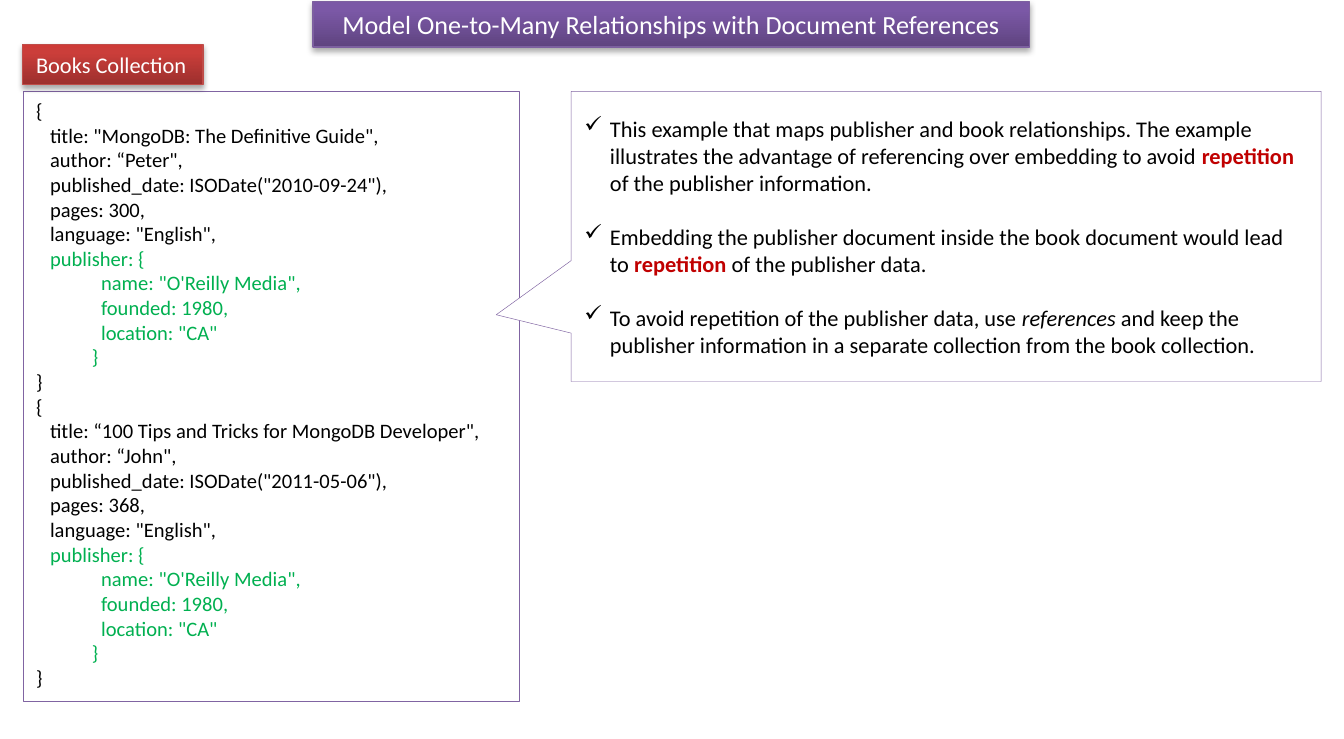
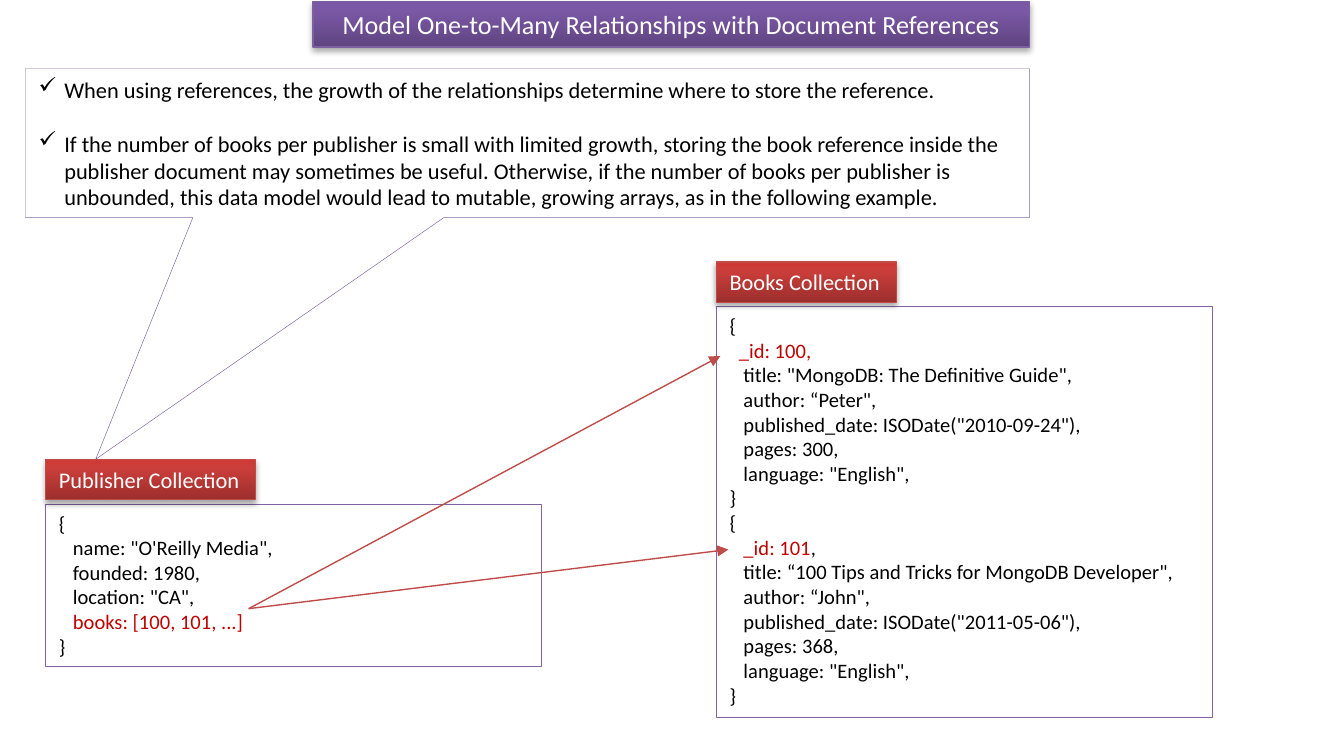
from dataclasses import dataclass

from lxml import etree
from pptx import Presentation
from pptx import util as u
from pptx.dml.color import RGBColor
from pptx.enum import shapes, text
from pptx.oxml.ns import qn

Inches = u.Inches


@dataclass(frozen=True)
class Theme:
    font: str = "Calibri"
    title_size: float = 14
    body_size: float = 12
    code_size: float = 11
    paragraph_gap: float = 14.6
    white: str = "FFFFFF"
    black: str = "000000"
    red: str = "C00000"
    green: str = "00B050"
    outline: str = "8064A2"
    band_line: str = "7D60A0"
    band_stops: tuple = ((0, "5F4480"), (80, "7B58A6"), (100, "7C57A8"))
    label_line: str = "BF4C48"
    label_stops: tuple = ((0, "9C2F2D"), (80, "CB3E3A"), (100, "CE3B37"))


THEME = Theme()
CODE_WIDTH = 3.69
LABEL_HEIGHT = 0.3
TITLE = "Model One-to-Many Relationships with Document References"


def add_xml(parent, tag, **attributes):
    values = {name: str(value) for name, value in attributes.items()}
    return etree.SubElement(parent, qn(tag), values)


def colour(value):
    return RGBColor.from_string(value)


class Deck:
    """Holds the theme and the slide being drawn.

    A paragraph is a string, or a list of strings and (string, format) pairs,
    where the format may give "colour", "bold" and "italic".
    """

    def __init__(self, theme):
        self.theme = theme
        self.presentation = Presentation()
        self.presentation.slide_width = Inches(10)
        self.presentation.slide_height = Inches(5.5)
        self.slide = None

    def add_slide(self, title):
        layout = self.presentation.slide_layouts.get_by_name("Title Only")
        self.slide = self.presentation.slides.add_slide(layout)
        band = self.slide.shapes.title
        band.left, band.top = Inches(2.33), Inches(0.01)
        band.width, band.height = Inches(5.33), Inches(0.34)
        self.raise_band(band, self.theme.band_stops, self.theme.band_line)
        self.set_text(band, [title], self.theme.title_size, self.theme.white,
                      text.MSO_ANCHOR.MIDDLE, text.PP_ALIGN.CENTER)

    def add_shape(self, kind, left, top, width, height):
        return self.slide.shapes.add_shape(
            kind, Inches(left), Inches(top), Inches(width), Inches(height))

    def raise_band(self, shape, stops, line):
        """Give the shape a gradient, an outline and a soft shadow below."""
        shape.fill.gradient()
        shape.fill.gradient_angle = 90
        properties = shape._element.spPr
        stop_list = properties.find(qn("a:gradFill")).find(qn("a:gsLst"))
        for old_stop in list(stop_list):
            stop_list.remove(old_stop)
        for position, value in stops:
            stop = add_xml(stop_list, "a:gs", pos=position * 1000)
            add_xml(stop, "a:srgbClr", val=value)
        self.outline(shape, line, 0.75)
        shadow = add_xml(properties.find(qn("a:effectLst")), "a:outerShdw",
                         blurRad=u.Pt(3.1), dist=u.Pt(1.8), dir=5400000,
                         rotWithShape=0)
        shade = add_xml(shadow, "a:srgbClr", val=self.theme.black)
        add_xml(shade, "a:alpha", val=35000)

    def outline(self, shape, line, width):
        shape.line.color.rgb = colour(line)
        shape.line.width = u.Pt(width)
        shape.shadow.inherit = False

    def paper(self, shape):
        """Give the shape a white fill and a hairline."""
        shape.fill.solid()
        shape.fill.fore_color.rgb = colour(self.theme.white)
        self.outline(shape, self.theme.outline, 0.25)

    def set_text(self, shape, paragraphs, size, ink,
                 anchor=text.MSO_ANCHOR.TOP, align=text.PP_ALIGN.LEFT,
                 bullets=False, wrap=True):
        frame = shape.text_frame
        frame.auto_size = text.MSO_AUTO_SIZE.NONE
        frame.word_wrap = wrap
        frame.vertical_anchor = anchor
        for index, content in enumerate(paragraphs):
            paragraph = frame.add_paragraph() if index else frame.paragraphs[0]
            paragraph.alignment = align
            if bullets:
                if index:
                    paragraph.space_before = u.Pt(self.theme.paragraph_gap)
                self.add_bullet(paragraph)
            runs = [content] if isinstance(content, str) else content
            for item in runs:
                words, look = (item, {}) if isinstance(item, str) else item
                run = paragraph.add_run()
                run.text = words
                run.font.name = self.theme.font
                run.font.size = u.Pt(size)
                run.font.bold = look.get("bold", False)
                run.font.italic = look.get("italic", False)
                run.font.color.rgb = colour(look.get("colour", ink))

    def add_bullet(self, paragraph):
        properties = paragraph._p.get_or_add_pPr()
        properties.set("marL", str(Inches(0.19)))
        properties.set("indent", str(-Inches(0.19)))
        add_xml(properties, "a:buChar", char="✓")

    def add_code(self, left, top, height, lines):
        box = self.add_shape(shapes.MSO_SHAPE.RECTANGLE, left, top,
                             CODE_WIDTH, height)
        self.paper(box)
        self.set_text(box, lines, self.theme.code_size, self.theme.black)

    def add_callout(self, left, top, width, height, tip, points):
        """Draw a callout whose tip is given as a share of its size."""
        callout = self.add_shape(shapes.MSO_SHAPE.RECTANGULAR_CALLOUT,
                                 left, top, width, height)
        callout.adjustments[0], callout.adjustments[1] = tip
        self.paper(callout)
        self.set_text(callout, points, self.theme.body_size, self.theme.black,
                      text.MSO_ANCHOR.MIDDLE, bullets=True)

    def add_label(self, left, top, width, name):
        label = self.add_shape(shapes.MSO_SHAPE.RECTANGLE, left, top,
                               width, LABEL_HEIGHT)
        self.raise_band(label, self.theme.label_stops, self.theme.label_line)
        self.set_text(label, [name], self.theme.body_size, self.theme.white,
                      wrap=False)

    def add_arrow(self, start, end):
        points = [Inches(value) for value in (*start, *end)]
        arrow = self.slide.shapes.add_connector(
            shapes.MSO_CONNECTOR.STRAIGHT, *points)
        arrow.line.color.rgb = colour(self.theme.label_line)
        arrow.line.width = u.Pt(0.75)
        properties = arrow._element.spPr
        add_xml(properties.find(qn("a:ln")), "a:tailEnd", type="triangle")
        add_xml(properties, "a:effectLst")


RED = {"colour": THEME.red}
GREEN = {"colour": THEME.green}
REPETITION = ("repetition", {"colour": THEME.red, "bold": True})

GUIDE = ('"MongoDB: The Definitive Guide"', "Peter", "2010-09-24", 300)
TIPS = ('“100 Tips and Tricks for MongoDB Developer"', "John", "2011-05-06", 368)

EMBEDDED_PUBLISHER = [[(line, GREEN)] for line in (
    "   publisher: {",
    "              name: \"O'Reilly Media\",",
    "              founded: 1980,",
    '              location: "CA"',
    "            }",
)]


def book_lines(book, before=(), after=()):
    """List a book document, with extra lines before and after its fields."""
    title, author, date, pages = book
    return [
        "{",
        *before,
        f"   title: {title},",
        f'   author: “{author}",',
        f'   published_date: ISODate("{date}"),',
        f"   pages: {pages},",
        '   language: "English",',
        *after,
        "}",
    ]


def draw_embedding(deck):
    deck.add_slide(TITLE)
    deck.add_code(0.17, 0.68, 4.54,
                  book_lines(GUIDE, after=EMBEDDED_PUBLISHER)
                  + book_lines(TIPS, after=EMBEDDED_PUBLISHER))
    deck.add_callout(4.25, 0.68, 5.58, 2.16, (-0.6, 0.27), [
        ["This example that maps publisher and book relationships. The example "
         "illustrates the advantage of referencing over embedding to avoid ",
         REPETITION, " of the publisher information."],
        ["Embedding the publisher document inside the book document would "
         "lead to ", REPETITION, " of the publisher data."],
        ["To avoid repetition of the publisher data, use ",
         ("references", {"italic": True}),
         " and keep the publisher information in a separate collection "
         "from the book collection."],
    ])
    deck.add_label(0.17, 0.33, 1.34, "Books Collection")


def draw_references(deck):
    deck.add_slide(TITLE)
    deck.add_code(0.34, 3.75, 1.21, [
        "{",
        "   name: \"O'Reilly Media\",",
        "   founded: 1980,",
        '   location: "CA",',
        [("   books: [100, 101, ...]", RED)],
        "}",
    ])
    deck.add_callout(0.19, 0.51, 7.47, 1.11, (-0.43, 2.12), [
        "When using references, the growth of the relationships determine "
        "where to store the reference.",
        "If the number of books per publisher is small with limited growth, "
        "storing the book reference inside the publisher document may "
        "sometimes be useful. Otherwise, if the number of books per publisher "
        "is unbounded, this data model would lead to mutable, growing arrays, "
        "as in the following example.",
    ])
    deck.add_code(5.33, 2.28, 3.06,
                  book_lines(GUIDE, before=[[("  _id: 100,", RED)]])
                  + book_lines(TIPS, before=[[("   _id: 101", RED), ","]]))
    deck.add_label(5.33, 1.95, 1.34, "Books Collection")
    deck.add_label(0.34, 3.42, 1.56, "Publisher Collection")
    books_field = (1.85, 4.53)
    for book_id in ((5.36, 2.65), (5.42, 4.09)):
        deck.add_arrow(books_field, book_id)


def main():
    deck = Deck(THEME)
    draw_embedding(deck)
    draw_references(deck)
    deck.presentation.save("out.pptx")


if __name__ == "__main__":
    main()
